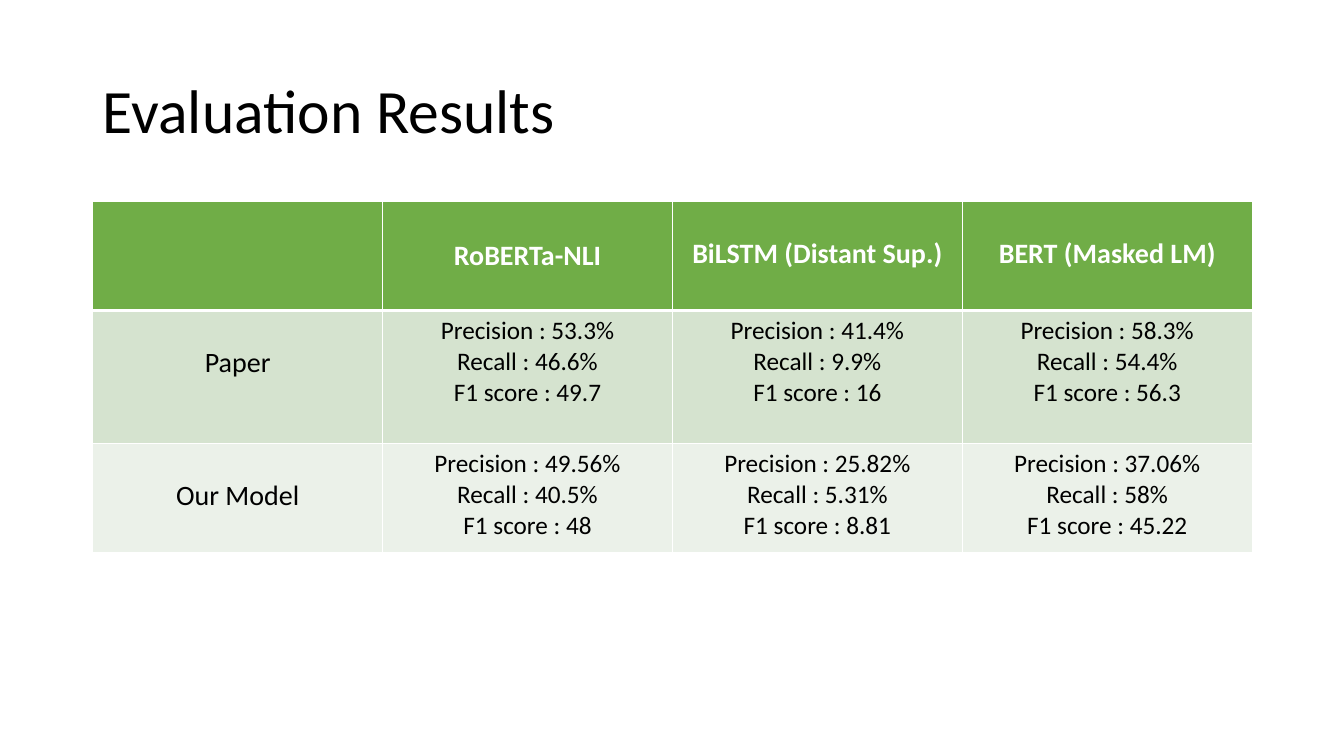
import pptx
import pptx.util
import pptx.dml.color
import pptx.enum.text
import pptx.oxml
import pptx.oxml.ns
from pptx.util import Inches

FONT = "Calibri"
HEADS = ["", "RoBERTa-NLI", "BiLSTM (Distant Sup.)", "BERT (Masked LM)"]
SCORES = [
    ("Paper", [("53.3%", "46.6%", "49.7"), ("41.4%", "9.9%", "16"), ("58.3%", "54.4%", "56.3")]),
    ("Our Model", [("49.56%", "40.5%", "48"), ("25.82%", "5.31%", "8.81"), ("37.06%", "58%", "45.22")]),
]
FILLS = ["70AD47", "D5E3CF", "EBF1E9"]
HEIGHTS = [1.08, 1.32, 1.08]


def color(code):
    return pptx.dml.color.RGBColor.from_string(code)


def style(frame, size, code, align, bold=False):
    for para in frame.paragraphs:
        para.alignment = align
        para.font.size = pptx.util.Pt(size)
        for run in para.runs:
            run.font.name = FONT
            run.font.size = pptx.util.Pt(size)
            run.font.bold = bold
            run.font.color.rgb = color(code)


def border(cell, side, width, code):
    line = pptx.oxml.parse_xml(
        f'<a:ln{side} {pptx.oxml.ns.nsdecls("a")} w="{pptx.util.Pt(width)}">'
        f'<a:solidFill><a:srgbClr val="{code}"/></a:solidFill></a:ln{side}>')
    cell._tc.get_or_add_tcPr().append(line)


def title(slide, text, left, top, width, height):
    shape = slide.shapes.title
    shape.left, shape.top = Inches(left), Inches(top)
    shape.width, shape.height = Inches(width), Inches(height)
    frame = shape.text_frame
    frame.text = text
    frame.vertical_anchor = pptx.enum.text.MSO_ANCHOR.MIDDLE
    frame.paragraphs[0].line_spacing = 0.9
    style(frame, 44, "000000", pptx.enum.text.PP_ALIGN.LEFT)


def fill_cell(cell, text, row, col):
    head = row == 0
    for side in "LRTB":
        thick = (head and side == "B") or (row == 1 and side == "T")
        border(cell, side, 3 if thick else 1, "FFFFFF")
    cell.fill.solid()
    cell.fill.fore_color.rgb = color(FILLS[row])
    cell.text_frame.text = text
    label = head or col == 0
    style(cell.text_frame, 20 if label else 18, "FFFFFF" if head else "000000",
          pptx.enum.text.PP_ALIGN.CENTER, head)
    if head and col == 1:
        cell.vertical_anchor = pptx.enum.text.MSO_ANCHOR.MIDDLE
    elif label:
        cell.margin_top = Inches(0.35)


def results(slide, left, top, width):
    rows = [HEADS]
    for name, models in SCORES:
        rows.append([name] + [f"Precision : {prec}\nRecall : {rec}\nF1 score : {score}"
                              for prec, rec, score in models])
    table = slide.shapes.add_table(
        len(rows), len(HEADS), Inches(left), Inches(top),
        Inches(width), Inches(sum(HEIGHTS))).table
    for row, texts in enumerate(rows):
        table.rows[row].height = Inches(HEIGHTS[row])
        for col, text in enumerate(texts):
            fill_cell(table.cell(row, col), text, row, col)


def main():
    deck = pptx.Presentation()
    deck.slide_width, deck.slide_height = Inches(13.33), Inches(7.5)
    slide = deck.slides.add_slide(deck.slide_layouts[5])
    title(slide, "Evaluation Results", 0.92, 0.4, 11.5, 1.45)
    results(slide, 0.92, 2, 11.5)
    deck.save("out.pptx")


if __name__ == "__main__":
    main()
